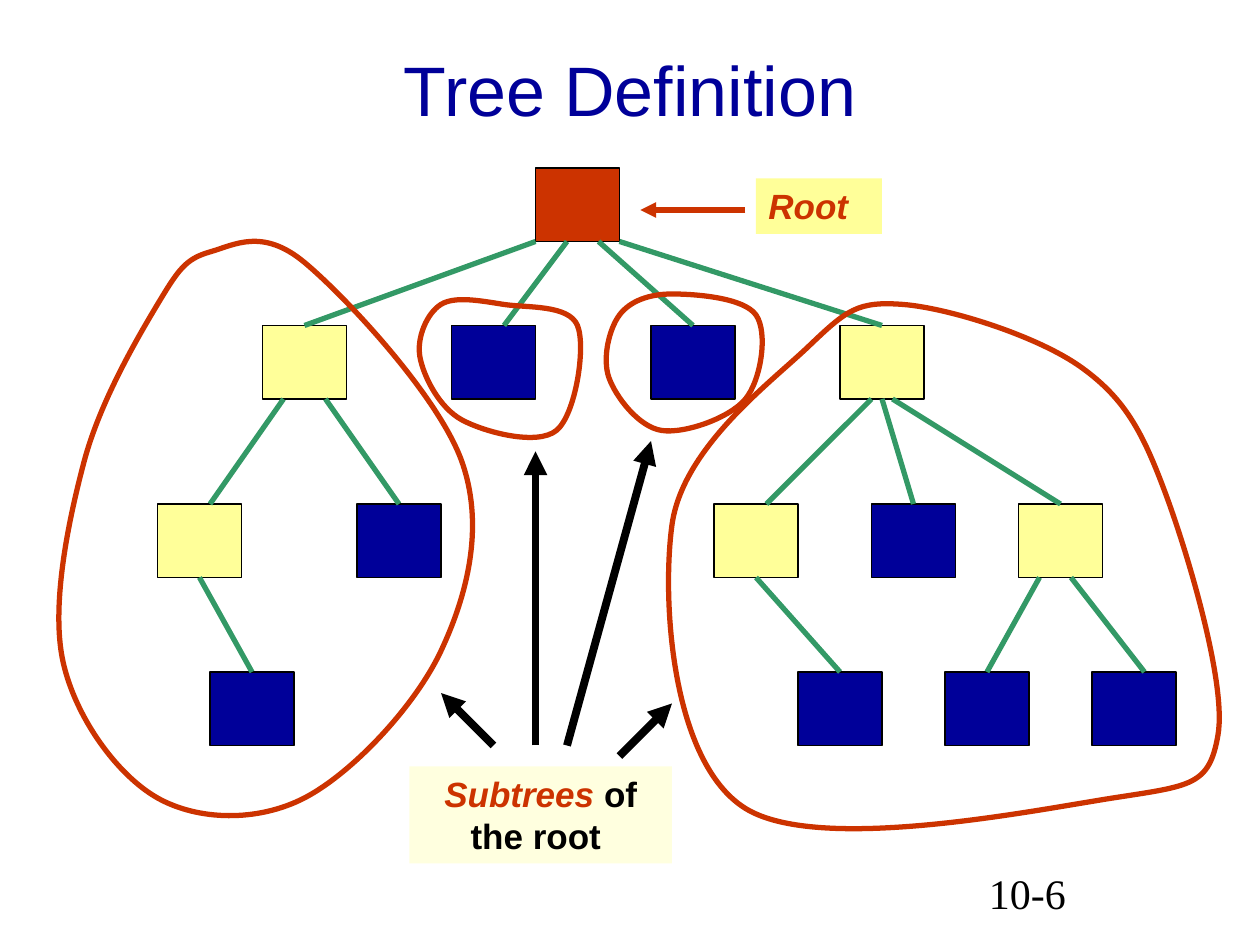
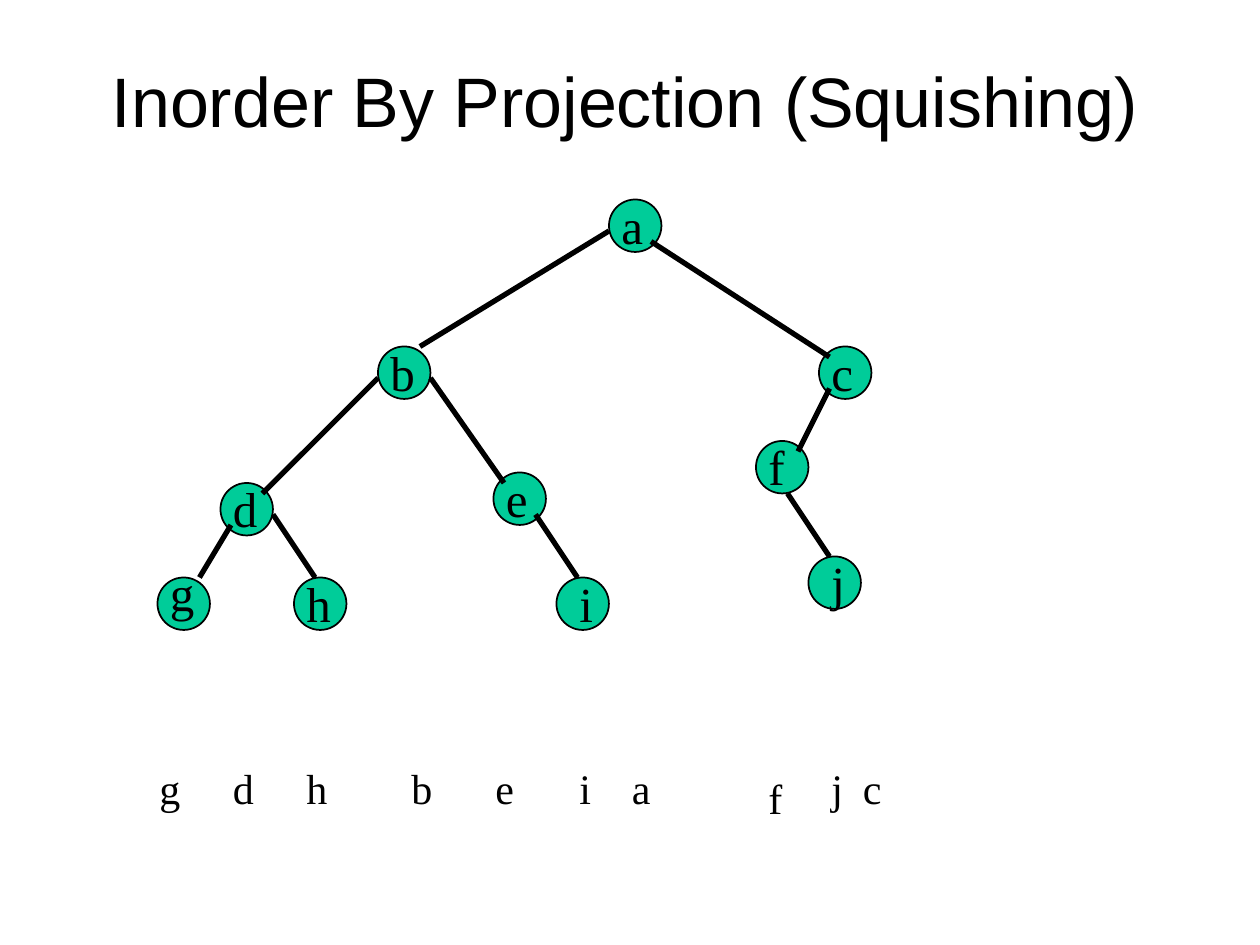
from pptx import Presentation
from pptx.dml.color import RGBColor
from pptx.enum.shapes import MSO_CONNECTOR, MSO_SHAPE
from pptx.enum.text import MSO_ANCHOR, PP_ALIGN
from pptx.oxml.ns import qn
from pptx.oxml.xmlchemy import OxmlElement
from pptx.util import Pt

STRAIGHT = MSO_CONNECTOR.STRAIGHT
RECT, OVAL = MSO_SHAPE.RECTANGLE, MSO_SHAPE.OVAL
LEFT, CENTER = PP_ALIGN.LEFT, PP_ALIGN.CENTER
TOP, MIDDLE = MSO_ANCHOR.TOP, MSO_ANCHOR.MIDDLE
BOTTOM_SITE, TOP_SITE = 2, 0

BLACK = RGBColor(0x00, 0x00, 0x00)
NAVY = RGBColor(0x00, 0x00, 0x99)
RED = RGBColor(0xCC, 0x33, 0x00)
YELLOW = RGBColor(0xFF, 0xFF, 0x99)
CREAM = RGBColor(0xFF, 0xFF, 0xDF)
GREEN = RGBColor(0x33, 0x99, 0x66)
TEAL = RGBColor(0x00, 0xCC, 0x99)

SANS, SERIF = "Arial", "Times New Roman"
NODE_W, NODE_H, CIRCLE = 48, 42, 30

TREE_ROWS = [
    (0, [(282, RED)]),
    (90, [(126, YELLOW), (234, NAVY), (348, NAVY), (456, YELLOW)]),
    (192, [(66, YELLOW), (180, NAVY), (384, YELLOW), (474, NAVY), (558, YELLOW)]),
    (288, [(96, NAVY), (432, NAVY), (516, NAVY), (600, NAVY)]),
]
# Parent, child, then how far along each node's side the edge meets it.
TREE_EDGES = [
    (0, 1, 0, 24), (0, 2, 18, 30), (0, 3, 36, 24), (0, 4, 48, 24),
    (1, 5, 12, 30), (1, 6, 36, 24),
    (4, 7, 18, 30), (4, 8, 24, 24), (4, 9, 30, 24),
    (5, 10, 24, 24), (7, 11, 24, 24), (9, 12, 12, 24), (9, 13, 30, 30),
]
SUBTREE_OUTLINES = [
    [(150, 54), (240, 168), (228, 276), (150, 360), (66, 360),
     (12, 282), (24, 168), (66, 78), (96, 48)],
    [(492, 78), (594, 114), (642, 186), (672, 324), (612, 360),
     (402, 366), (360, 204), (438, 102)],
    [(264, 78), (306, 90), (294, 150), (240, 144), (216, 108), (228, 78)],
    [(360, 72), (408, 84), (402, 132), (354, 150), (324, 120), (330, 84)],
]
SUBTREE_ARROWS = [(90, -12, 138, -186), (72, -12, 72, -180),
                  (48, -12, 18, -42), (120, -6, 150, -36)]

LETTER_NODES = {
    "a": (258, 0), "b": (126, 84), "c": (378, 84), "d": (36, 162), "e": (192, 156),
    "f": (342, 138), "g": (0, 216), "h": (78, 216), "i": (228, 216), "j": (372, 204),
}
LETTER_SHIFTS = {"g": (0, -12), "i": (6, -6), "j": (6, -6)}
LETTER_EDGES = [
    ("a", "b", (0, 18), (24, 0)), ("a", "c", (24, 24), (6, 6)),
    ("b", "d", (0, 18), (24, 6)), ("b", "e", (30, 18), (6, 6)),
    ("c", "f", (6, 24), (24, 6)), ("d", "g", (6, 24), (24, 0)),
    ("d", "h", (30, 18), (12, 0)), ("e", "i", (24, 24), (12, 0)),
    ("f", "j", (18, 30), (12, 0)),
]
INORDER = [("g", 0, 0), ("d", 42, 0), ("h", 84, 0), ("b", 144, 0), ("e", 192, 0),
           ("i", 240, 0), ("a", 270, 0), ("f", 348, 6), ("j", 384, 0), ("c", 402, 0)]


def write(sp, runs, size, font, align=LEFT, anchor=TOP, accent=False):
    """Fill a shape with one paragraph of (text, colour, italic) runs."""
    tf = sp.text_frame
    tf.word_wrap = True
    tf.vertical_anchor = anchor
    p = tf.paragraphs[0]
    p.alignment = align
    for text, color, italic in runs:
        r = p.add_run()
        r.text = text
        r.font.size = Pt(size)
        r.font.name = font
        r.font.bold = accent
        r.font.italic = italic
        r.font.color.rgb = color


def add_text(s, x, y, w, h, text, size, font, color=BLACK, **style):
    """Add a text box holding a single run."""
    sp = s.shapes.add_textbox(Pt(x), Pt(y), Pt(w), Pt(h))
    write(sp, [(text, color, False)], size, font, **style)


def add_title(s, x, y, w, h, text, color):
    """Add a slide title in the shared style."""
    add_text(s, x, y, w, h, text, 40, SANS, color, align=CENTER, anchor=MIDDLE)


def add_box(s, kind, x, y, w, h, fill, line=None):
    """Add a filled preset shape, outlined in black when a width is given."""
    sp = s.shapes.add_shape(kind, Pt(x), Pt(y), Pt(w), Pt(h))
    sp.shadow.inherit = False
    sp.fill.solid()
    sp.fill.fore_color.rgb = fill
    if line:
        sp.line.color.rgb = BLACK
        sp.line.width = Pt(line)
    else:
        sp.line.fill.background()
    return sp


def add_line(s, x1, y1, x2, y2, color, width=3, arrow=False):
    """Add a straight line, with an arrowhead at its end on request."""
    line = s.shapes.add_connector(STRAIGHT, Pt(x1), Pt(y1), Pt(x2), Pt(y2))
    line.line.color.rgb = color
    line.line.width = Pt(width)
    props = line._element.spPr
    if arrow:
        head = OxmlElement("a:tailEnd")
        head.set("type", "triangle")
        props.find(qn("a:ln")).append(head)
    props.append(OxmlElement("a:effectLst"))
    return line


def add_smooth_outline(s, x, y, anchors):
    """Draw a closed smooth curve through the anchors, which are relative to x, y."""
    points = []
    n = len(anchors)
    for i in range(n):
        before, start, end, after = (anchors[(i + k) % n] for k in (-1, 0, 1, 2))
        points.append([a + (b - c) / 6 for a, b, c in zip(start, end, before)])
        points.append([a - (b - c) / 6 for a, b, c in zip(end, after, start)])
        points.append(end)
    emu = [(Pt(x + px), Pt(y + py)) for px, py in points]
    builder = s.shapes.build_freeform(*emu[-1])
    builder.add_line_segments(emu, close=True)
    sp = builder.convert_to_shape()
    outline = sp._element.find(".//" + qn("a:path"))
    segments = outline.findall(qn("a:lnTo"))
    for i in range(0, len(segments), 3):
        curve = OxmlElement("a:cubicBezTo")
        segments[i].addprevious(curve)
        for segment in segments[i:i + 3]:
            curve.append(segment[0])
            outline.remove(segment)
    sp.shadow.inherit = False
    sp.fill.background()
    sp.line.color.rgb = RED
    sp.line.width = Pt(3)


def add_square_tree(s, x, y):
    """Draw the tree of rectangles and the outlines of its subtrees."""
    nodes = [(x + nx, y + ny, color) for ny, row in TREE_ROWS for nx, color in row]
    boxes = [add_box(s, RECT, nx, ny, NODE_W, NODE_H, color, 0.75)
             for nx, ny, color in nodes]
    for parent, child, start, end in TREE_EDGES:
        px, py, _ = nodes[parent]
        cx, cy, _ = nodes[child]
        line = add_line(s, px + start, py + NODE_H, cx + end, cy, GREEN)
        if start == NODE_W / 2:
            line.begin_connect(boxes[parent], BOTTOM_SITE)
        if end == NODE_W / 2:
            line.end_connect(boxes[child], TOP_SITE)
    for anchors in SUBTREE_OUTLINES:
        add_smooth_outline(s, x, y, anchors)


def add_callout(s, x, y, w, h, fill, runs, align, arrows, color, width):
    """Add a label with arrows placed relative to its corner."""
    sp = add_box(s, RECT, x, y, w, h, fill)
    write(sp, runs, 20, SANS, align, accent=True)
    for x1, y1, x2, y2 in arrows:
        add_line(s, x + x1, y + y1, x + x2, y + y2, color, width, arrow=True)


def add_letter_tree(s, x, y):
    """Draw the tree of lettered circles."""
    nodes = {k: (x + nx, y + ny) for k, (nx, ny) in LETTER_NODES.items()}
    for nx, ny in nodes.values():
        add_box(s, OVAL, nx, ny, CIRCLE, CIRCLE, TEAL, 1)
    for parent, child, (sx, sy), (ex, ey) in LETTER_EDGES:
        px, py = nodes[parent]
        cx, cy = nodes[child]
        add_line(s, px + sx, py + sy, cx + ex, cy + ey, BLACK)
    for letter, (nx, ny) in nodes.items():
        dx, dy = LETTER_SHIFTS.get(letter, (0, -6))
        add_text(s, nx + dx, ny + dy, 60, 41, letter, 28, SERIF)


def add_inorder_row(s, x, y):
    """Write the letters in the order of their projection."""
    for letter, dx, dy in INORDER:
        add_text(s, x + dx, y + dy, 30, 36, letter, 24, SERIF)


def build_definition(s):
    """Build the slide that defines a tree."""
    add_text(s, 558, 492, 150, 36, "10-6", 24, SERIF)
    add_title(s, 54, 23, 612, 55.4, "Tree Definition", NAVY)
    add_square_tree(s, 24, 96)
    add_callout(s, 234, 438, 150, 55.4, CREAM,
                [("Subtrees", RED, True), (" of the root ", BLACK, False)],
                CENTER, SUBTREE_ARROWS, BLACK, 4.5)
    add_callout(s, 432, 102, 72, 31.7, YELLOW, [("Root", RED, True)],
                LEFT, [(-6, 18, -66, 18)], RED, 3)


def build_projection(s):
    """Build the slide on inorder by projection."""
    add_title(s, 24, 12, 666, 90, "Inorder By Projection (Squishing)", BLACK)
    add_letter_tree(s, 90, 114)
    add_inorder_row(s, 84, 432)


def main():
    """Build both slides and save them."""
    prs = Presentation()
    prs.slide_width, prs.slide_height = Pt(720), Pt(540)
    for build in (build_definition, build_projection):
        build(prs.slides.add_slide(prs.slide_layouts[6]))
    prs.save("out.pptx")


if __name__ == "__main__":
    main()
